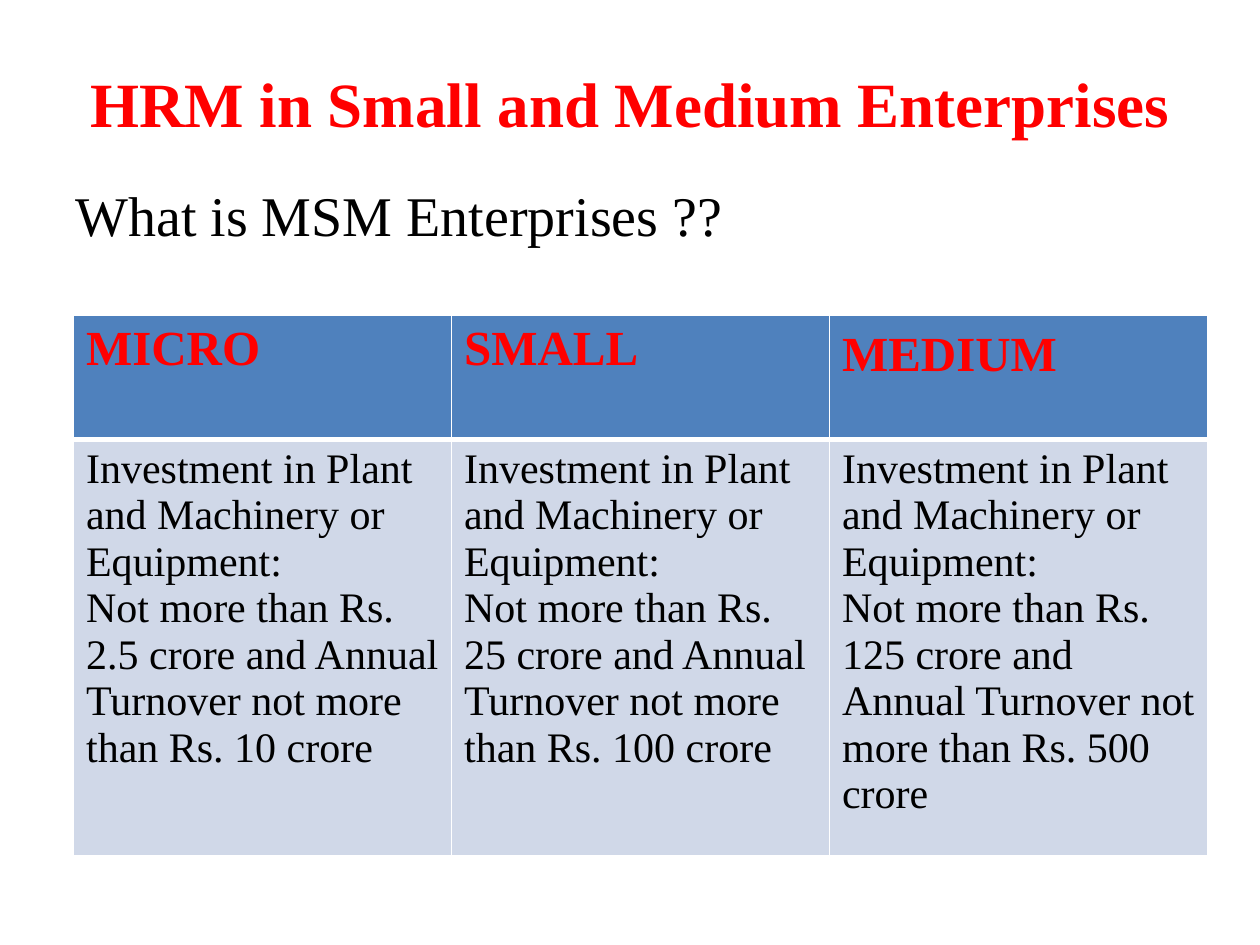
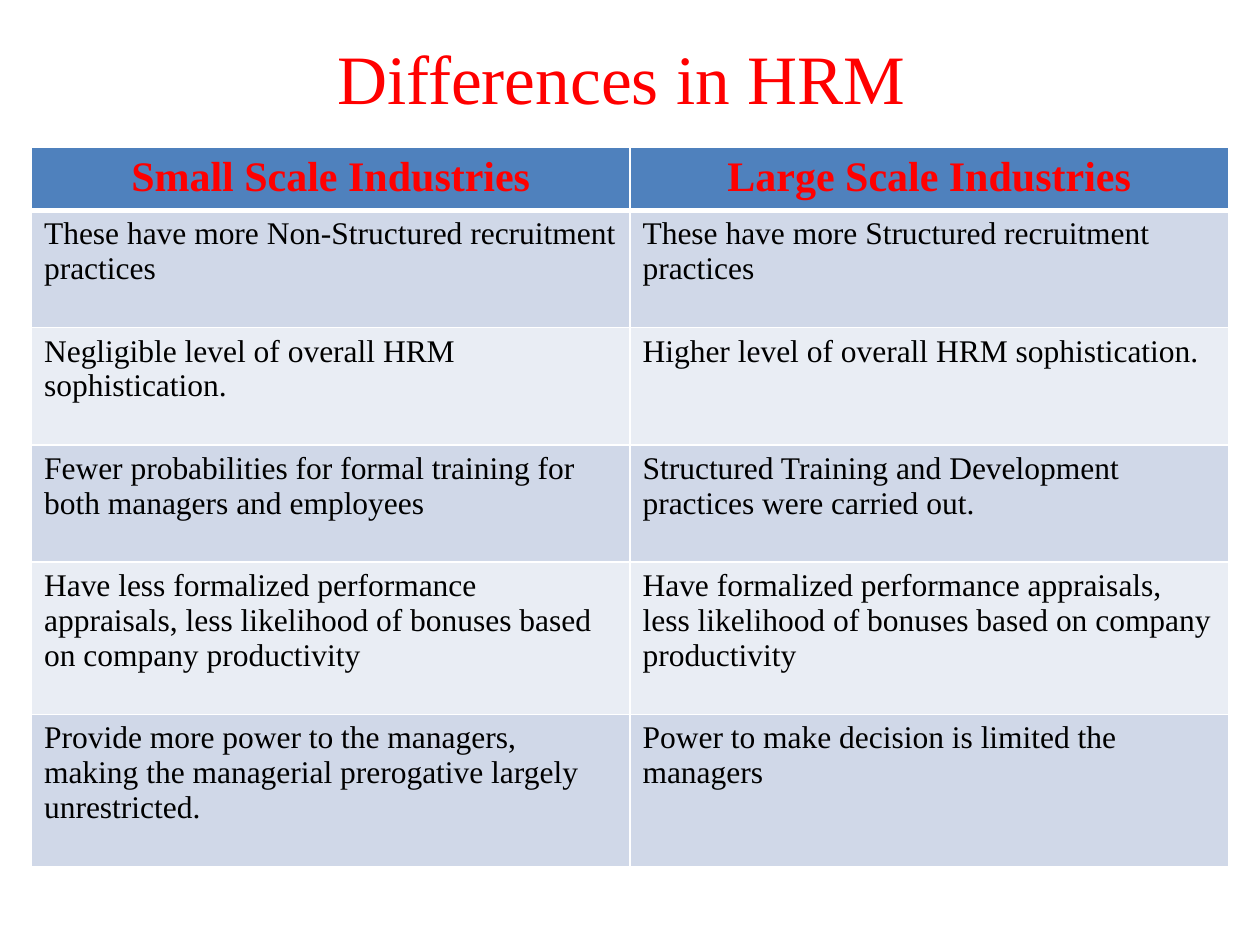
from lxml import etree
from pptx import Presentation
from pptx.dml.color import RGBColor
from pptx.enum.text import MSO_ANCHOR, PP_ALIGN
from pptx.oxml.ns import qn
from pptx.util import Pt

CENTER, LEFT = PP_ALIGN.CENTER, PP_ALIGN.LEFT
MIDDLE, TOP = MSO_ANCHOR.MIDDLE, MSO_ANCHOR.TOP
FONT = "Times New Roman"
COLORS = {
    "accent": "FF0000",
    "text": "000000",
    "header": "4F81BD",
    "band_dark": "D0D8E8",
    "band_light": "E9EDF4",
    "border": "FFFFFF",
}
THIN, THICK = 1, 3

LIMIT_TEXT = ("Investment in Plant and Machinery or Equipment:\n"
              "Not more than Rs. {} crore and Annual Turnover not more than Rs. {} crore")
# enterprise class, investment limit, turnover limit
CLASSES = [("MICRO", "2.5", "10"), ("SMALL", "25", "100"), ("MEDIUM", "125", "500")]

DIFFERENCES = [
    ("Small Scale Industries", "Large Scale Industries"),
    ("These have more Non-Structured recruitment practices",
     "These have more Structured recruitment practices"),
    ("Negligible level of overall HRM sophistication.",
     "Higher level of overall HRM sophistication."),
    ("Fewer probabilities for formal training for both managers and employees",
     "Structured Training and Development practices were carried out."),
    ("Have less formalized performance appraisals, less likelihood of bonuses "
     "based on company productivity",
     "Have formalized performance appraisals, less likelihood of bonuses "
     "based on company productivity"),
    ("Provide more power to the managers, making the managerial prerogative "
     "largely unrestricted.",
     "Power to make decision is limited the managers"),
]


def rgb(name):
    return RGBColor.from_string(COLORS[name])


def write(frame, text, size, color, bold=False, align=LEFT):
    paragraph = frame.paragraphs[0]
    paragraph.text = text
    paragraph.alignment = align
    font = paragraph.font
    font.name, font.size, font.bold = FONT, Pt(size), bold
    font.color.rgb = rgb(color)


def add_text(slide, box, text, size, color, anchor=TOP, **style):
    frame = slide.shapes.add_textbox(*map(Pt, box)).text_frame
    frame.word_wrap = True
    frame.vertical_anchor = anchor
    write(frame, text, size, color, **style)
    return frame


def add_title(slide, text, height, size, bold=False):
    add_text(slide, (36, 21.6, 648, height), text, size, "accent",
             anchor=MIDDLE, bold=bold, align=CENTER)


def set_borders(cell, top, bottom):
    properties = cell._tc.get_or_add_tcPr()
    widths = {"a:lnL": THIN, "a:lnR": THIN, "a:lnT": top, "a:lnB": bottom}
    for tag, width in widths.items():
        line = etree.SubElement(properties, qn(tag), w=str(Pt(width)))
        fill = etree.SubElement(line, qn("a:solidFill"))
        etree.SubElement(fill, qn("a:srgbClr"), val=COLORS["border"])


def add_banded_table(slide, rows, left, top, width, heights, header_size,
                     body_size, header_align=LEFT):
    columns = len(rows[0])
    table = slide.shapes.add_table(len(rows), columns, Pt(left), Pt(top),
                                   Pt(width), Pt(sum(heights))).table
    for column in table.columns:
        column.width = Pt(width / columns)
    for r, (texts, height) in enumerate(zip(rows, heights)):
        table.rows[r].height = Pt(height)
        is_header = r == 0
        band = "header" if is_header else "band_dark" if r % 2 else "band_light"
        for c, text in enumerate(texts):
            cell = table.cell(r, c)
            set_borders(cell, top=THICK if r == 1 else THIN,
                        bottom=THICK if is_header else THIN)
            cell.fill.solid()
            cell.fill.fore_color.rgb = rgb(band)
            if is_header:
                write(cell.text_frame, text, header_size, "accent", True, header_align)
            else:
                write(cell.text_frame, text, body_size, "text")
    return table


def build_enterprises(slide):
    add_title(slide, "HRM in Small and Medium Enterprises", 74.2, 36, bold=True)
    question = add_text(slide, (36, 95.8, 660, 414), "What is MSM Enterprises ??",
                        32, "text")
    question.margin_top = Pt(7.6)
    rows = [[name for name, _, _ in CLASSES],
            [LIMIT_TEXT.format(*limits) for _, *limits in CLASSES]]
    table = add_banded_table(slide, rows, 42, 180.3, 648, (71, 219.5), 28, 24)
    medium = table.cell(0, 2)
    medium.margin_top = medium.margin_bottom = Pt(7.2)


def build_differences(slide):
    add_title(slide, "Differences in HRM ", 44.6, 39.6)
    add_banded_table(slide, DIFFERENCES, 18, 84.2, 684, (33.5, 67, 67, 67, 87, 87),
                     24, 18, header_align=CENTER)


def main():
    deck = Presentation()
    deck.slide_width, deck.slide_height = Pt(720), Pt(540)
    blank = deck.slide_layouts[6]
    for build in (build_enterprises, build_differences):
        build(deck.slides.add_slide(blank))
    deck.save("out.pptx")


if __name__ == "__main__":
    main()
